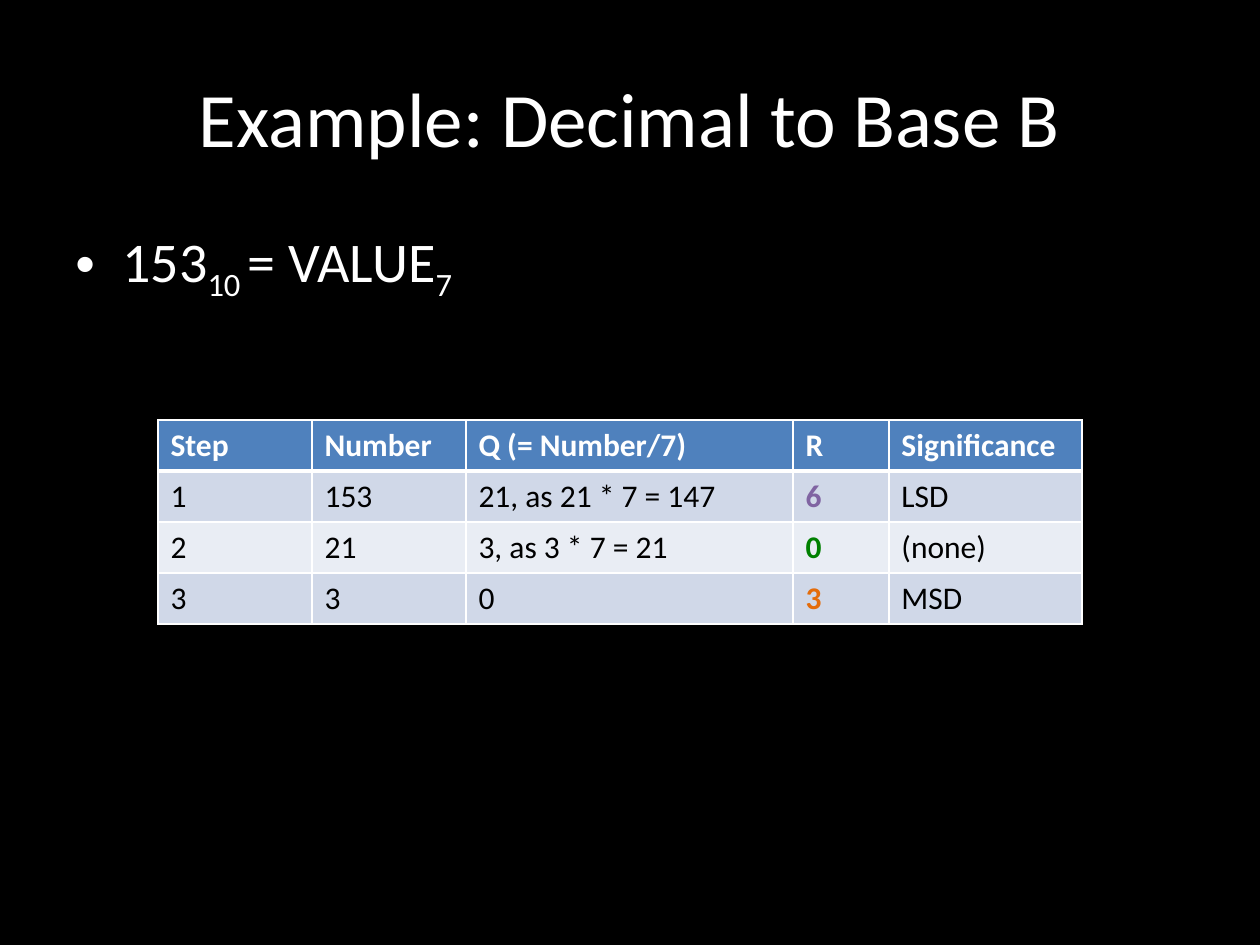
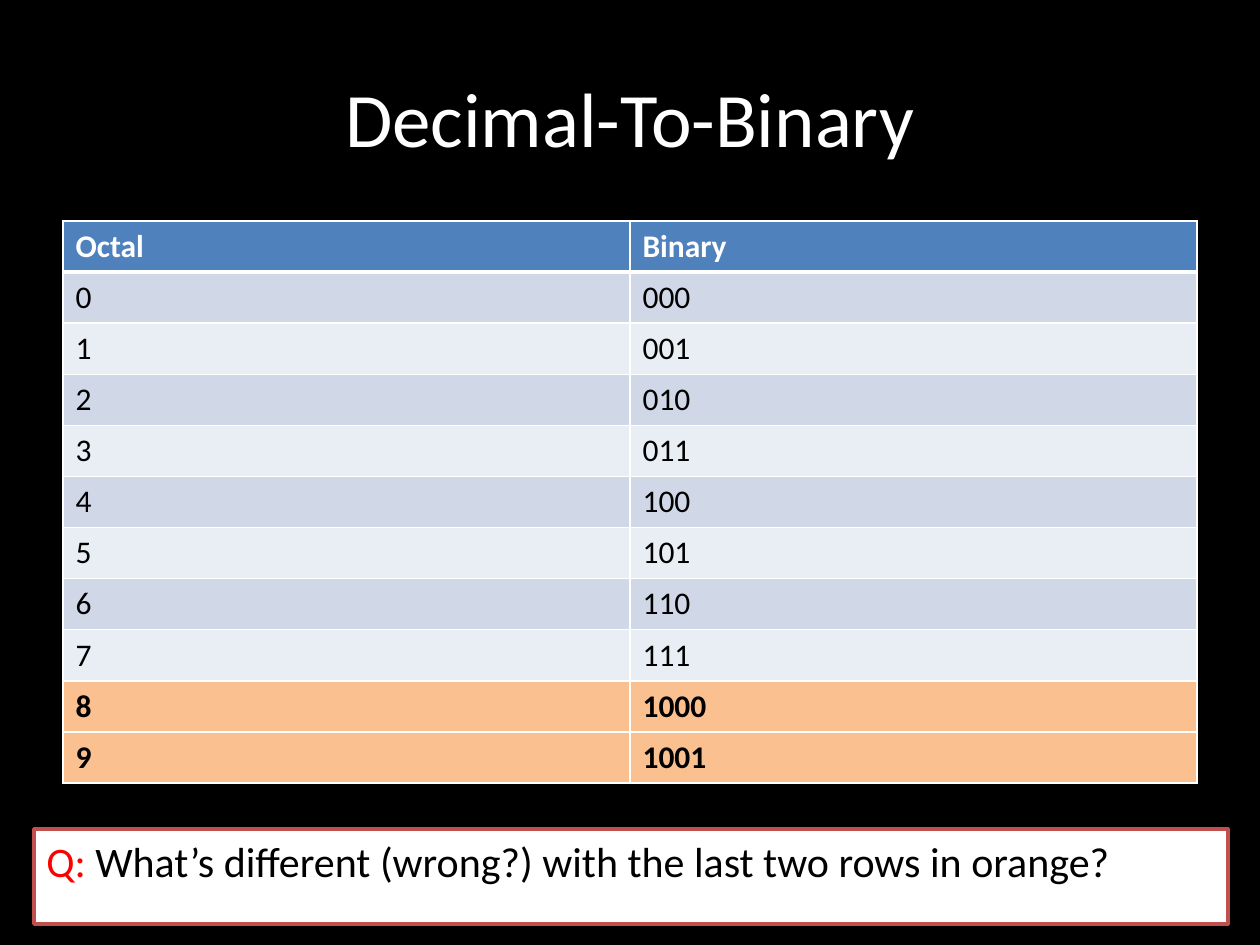
from dataclasses import dataclass
from lxml.etree import SubElement
from pptx import Presentation
from pptx.dml.color import RGBColor
from pptx.enum.shapes import MSO_SHAPE
from pptx.enum.text import MSO_ANCHOR, PP_ALIGN
from pptx.oxml import parse_xml
from pptx.oxml.ns import nsdecls, qn
from pptx.util import Emu, Pt


@dataclass(frozen=True)
class Theme:
    font: str = "Calibri"
    background: str = "000000"
    light: str = "FFFFFF"
    dark: str = "000000"
    header: str = "4F81BD"
    bands: tuple = ("D0D8E8", "E9EDF4")
    highlight: str = "FAC090"
    purple: str = "8064A2"
    green: str = "008000"
    orange: str = "E46C0A"
    red: str = "FF0000"
    frame: str = "C0504D"
    title_size: int = 44
    body_size: int = 32
    question_size: int = 24
    table_size: int = 18


THEME = Theme()
SCALE = 914400 / 126
ROW_HEIGHT = 51
TITLE_BOX = (63, 38, 1134, 157)

EQUATION = [("153", False), ("10 ", True), ("= VALUE", False), ("7", True)]
EQUATION_BOX = (63, 220, 1134, 120)
BULLET_INDENT = 47

DIVISION_STEPS = [
    ("Step", "Number", "Q (= Number/7)", "R", "Significance"),
    ("1", "153", "21, as 21 * 7 = 147", "6", "LSD"),
    ("2", "21", "3, as 3 * 7 = 21", "0", "(none)"),
    ("3", "3", "0", "3", "MSD"),
]
DIVISION_WIDTHS = (154, 154, 327, 96, 193)
REMAINDER_COLUMN = 3
REMAINDER_COLORS = (THEME.purple, THEME.green, THEME.orange)

OCTAL_ROWS = [("Octal", "Binary")] + [(str(n), f"{n:03b}") for n in range(10)]
OCTAL_WIDTHS = (567, 567)
FIRST_INVALID_ROW = 9

QUESTION = [
    ("Q:", THEME.red),
    (" What\u2019s different (wrong?) with the last two rows in orange?", THEME.dark),
]
QUESTION_BOX = (34, 829, 1194, 95)


def px(length):
    return Emu(round(length * SCALE))


def place(box):
    return [px(length) for length in box]


def style(run, size, color, bold=False):
    run.font.name = THEME.font
    run.font.size = Pt(size)
    run.font.bold = bold
    run.font.color.rgb = RGBColor.from_string(color)


def add_titled_slide(deck, heading):
    slide = deck.slides.add_slide(deck.slide_layouts[5])
    slide.background.fill.solid()
    slide.background.fill.fore_color.rgb = RGBColor.from_string(THEME.background)
    title = slide.shapes.title
    title.left, title.top, title.width, title.height = place(TITLE_BOX)
    title.text_frame.text = heading
    title.text_frame.vertical_anchor = MSO_ANCHOR.MIDDLE
    paragraph = title.text_frame.paragraphs[0]
    paragraph.alignment = PP_ALIGN.CENTER
    style(paragraph.runs[0], THEME.title_size, THEME.light)
    return slide


def add_borders(cell, top, bottom):
    properties = cell._tc.get_or_add_tcPr()
    sides = (("lnL", 1), ("lnR", 1), ("lnT", top), ("lnB", bottom))
    for position, (side, width) in enumerate(sides):
        border = parse_xml(
            f'<a:{side} {nsdecls("a")} w="{Pt(width)}"><a:solidFill>'
            f'<a:srgbClr val="{THEME.light}"/></a:solidFill></a:{side}>'
        )
        properties.insert(position, border)


def add_grid(slide, left, top, widths, rows, row_fill, cell_style):
    box = place((left, top, sum(widths), ROW_HEIGHT * len(rows)))
    grid = slide.shapes.add_table(len(rows), len(widths), *box).table
    for column, width in zip(grid.columns, widths):
        column.width = px(width)
    for r, values in enumerate(rows):
        grid.rows[r].height = px(ROW_HEIGHT)
        for c, value in enumerate(values):
            cell = grid.cell(r, c)
            cell.text_frame.text = value
            color, bold = cell_style(r, c) if r else (THEME.light, True)
            style(cell.text_frame.paragraphs[0].runs[0], THEME.table_size, color, bold)
            cell.fill.solid()
            fill = row_fill(r) if r else THEME.header
            cell.fill.fore_color.rgb = RGBColor.from_string(fill)
            add_borders(cell, 3 if r == 1 else 1, 1 if r else 3)


def band(r):
    return THEME.bands[(r - 1) % 2]


def division_style(r, c):
    if c == REMAINDER_COLUMN:
        return REMAINDER_COLORS[r - 1], True
    return THEME.dark, False


def octal_fill(r):
    return THEME.highlight if r >= FIRST_INVALID_ROW else band(r)


def octal_style(r, c):
    return THEME.dark, r >= FIRST_INVALID_ROW


def add_equation(slide):
    frame = slide.shapes.add_textbox(*place(EQUATION_BOX)).text_frame
    frame.word_wrap = True
    paragraph = frame.paragraphs[0]
    properties = paragraph._p.get_or_add_pPr()
    properties.set("marL", str(px(BULLET_INDENT)))
    properties.set("indent", str(-px(BULLET_INDENT)))
    SubElement(properties, qn("a:buFont")).set("typeface", "Arial")
    SubElement(properties, qn("a:buChar")).set("char", "\u2022")
    for text, subscript in EQUATION:
        run = paragraph.add_run()
        run.text = text
        style(run, THEME.body_size, THEME.light)
        if subscript:
            run._r.get_or_add_rPr().set("baseline", "-25000")


def add_question(slide):
    panel = slide.shapes.add_shape(MSO_SHAPE.RECTANGLE, *place(QUESTION_BOX))
    panel.shadow.inherit = False
    panel.fill.solid()
    panel.fill.fore_color.rgb = RGBColor.from_string(THEME.light)
    panel.line.color.rgb = RGBColor.from_string(THEME.frame)
    panel.line.width = Pt(2)
    frame = panel.text_frame
    frame.word_wrap = True
    frame.vertical_anchor = MSO_ANCHOR.TOP
    paragraph = frame.paragraphs[0]
    paragraph.alignment = PP_ALIGN.LEFT
    for text, color in QUESTION:
        run = paragraph.add_run()
        run.text = text
        style(run, THEME.question_size, color)


deck = Presentation()
deck.slide_width, deck.slide_height = px(1260), px(945)

base_slide = add_titled_slide(deck, "Example: Decimal to Base B")
add_equation(base_slide)
add_grid(base_slide, 158, 420, DIVISION_WIDTHS, DIVISION_STEPS, band, division_style)

binary_slide = add_titled_slide(deck, "Decimal-To-Binary")
add_grid(binary_slide, 63, 221, OCTAL_WIDTHS, OCTAL_ROWS, octal_fill, octal_style)
add_question(binary_slide)

deck.save("out.pptx")
